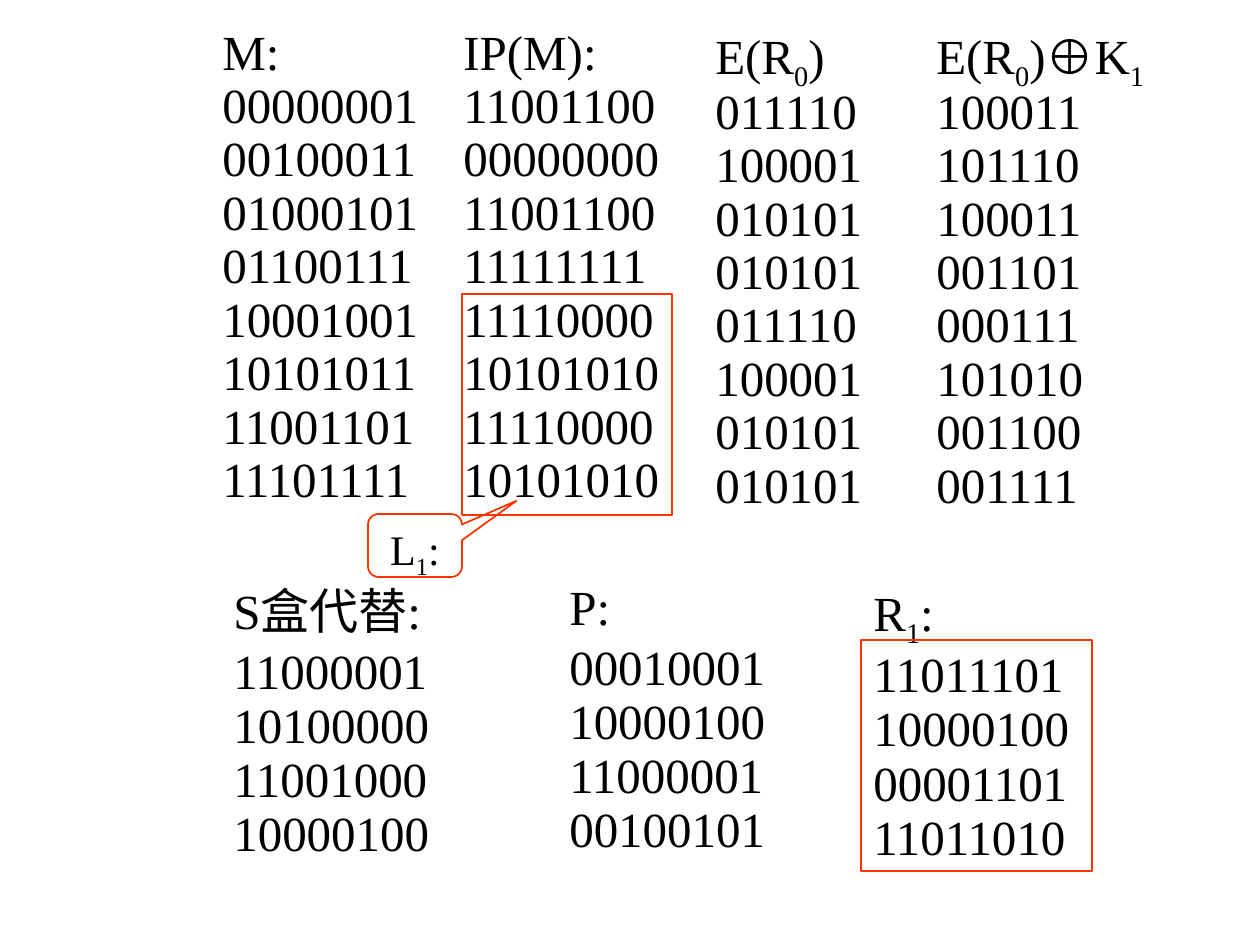
"""Build a slide tracing one round of a block cipher in binary columns."""
from pptx import Presentation
from pptx.dml.color import RGBColor
from pptx.enum.shapes import MSO_SHAPE
from pptx.enum.text import MSO_ANCHOR, PP_ALIGN
from pptx.util import Pt

PX = 914400 / 126
THEME = {
    "font": "Times New Roman",
    "ink": RGBColor(0, 0, 0),
    "edge": RGBColor(0xFF, 0x33, 0x00),
    "body": Pt(28),
    "note": Pt(24),
    "rule": Pt(1),
}

TOP = [
    ((210, 31, 242, 504), "M:",
     "00000001 00100011 01000101 01100111 10001001 10101011 11001101 11101111"),
    ((451, 31, 242, 504), "IP(M):",
     "11001100 00000000 11001100 11111111 11110000 10101010 11110000 10101010"),
    ((703, 31, 199, 504), "E(R_0_)",
     "011110 100001 010101 010101 011110 100001 010101 010101"),
    ((924, 31, 262, 504), "E(R_0_)⊕K_1_",
     "100011 101110 100011 001101 000111 101010 001100 001111"),
]
LOW = [
    ((221, 581, 252, 282), "S盒代替:", "11000001 10100000 11001000 10000100"),
    ((557, 577, 252, 282), "P:", "00010001 10000100 11000001 00100101"),
    ((861, 577, 252, 290), "R_1_:", "11011101 10000100 00001101 11011010"),
]
FRAMES = [(462, 294, 210, 221), (861, 640, 231, 231)]
CALL = (368, 514, 94, 63)
HANG = 48


def scale(box):
    return [round(n * PX) for n in box]


def write(para, text, size):
    for i, part in enumerate(text.split("_")):
        if part:
            run = para.add_run()
            run.text = part
            if i % 2:
                run._r.get_or_add_rPr().set("baseline", "-25000")
    para.font.name = THEME["font"]
    para.font.size = size
    para.font.color.rgb = THEME["ink"]


def column(slide, box, head, rows, gap, first, rest, hang=0):
    frame = slide.shapes.add_textbox(*scale(box)).text_frame
    frame.word_wrap = True
    for i, text in enumerate([head] + rows.split()):
        para = frame.add_paragraph() if i else frame.paragraphs[0]
        para.space_before = Pt(gap if i else 0)
        para.line_spacing = rest if i else first
        if hang:
            props = para._p.get_or_add_pPr()
            props.set("marL", str(round(hang * PX)))
            props.set("indent", str(round(-hang * PX)))
        write(para, text, THEME["body"])


def outline(slide, kind, box):
    shape = slide.shapes.add_shape(kind, *scale(box))
    shape.shadow.inherit = False
    shape.fill.background()
    shape.line.color.rgb = THEME["edge"]
    shape.line.width = THEME["rule"]
    return shape


def main():
    deck = Presentation()
    deck.slide_width, deck.slide_height = scale((1260, 945))
    slide = deck.slides.add_slide(deck.slide_layouts[6])
    for item in TOP:
        column(slide, *item, gap=7, first=0.7, rest=0.7, hang=HANG)
    for item in LOW:
        column(slide, *item, gap=17.5, first=0.9, rest=0.4)
    for box in FRAMES:
        outline(slide, MSO_SHAPE.RECTANGLE, box)
    call = outline(slide, MSO_SHAPE.ROUNDED_RECTANGULAR_CALLOUT, CALL)
    for i, value in enumerate((1.08, -0.71, 0.17)):
        call.adjustments[i] = value
    frame = call.text_frame
    frame.word_wrap = True
    frame.vertical_anchor = MSO_ANCHOR.TOP
    para = frame.paragraphs[0]
    para.alignment = PP_ALIGN.CENTER
    write(para, "L_1_:", THEME["note"])
    deck.save("out.pptx")


if __name__ == "__main__":
    main()
